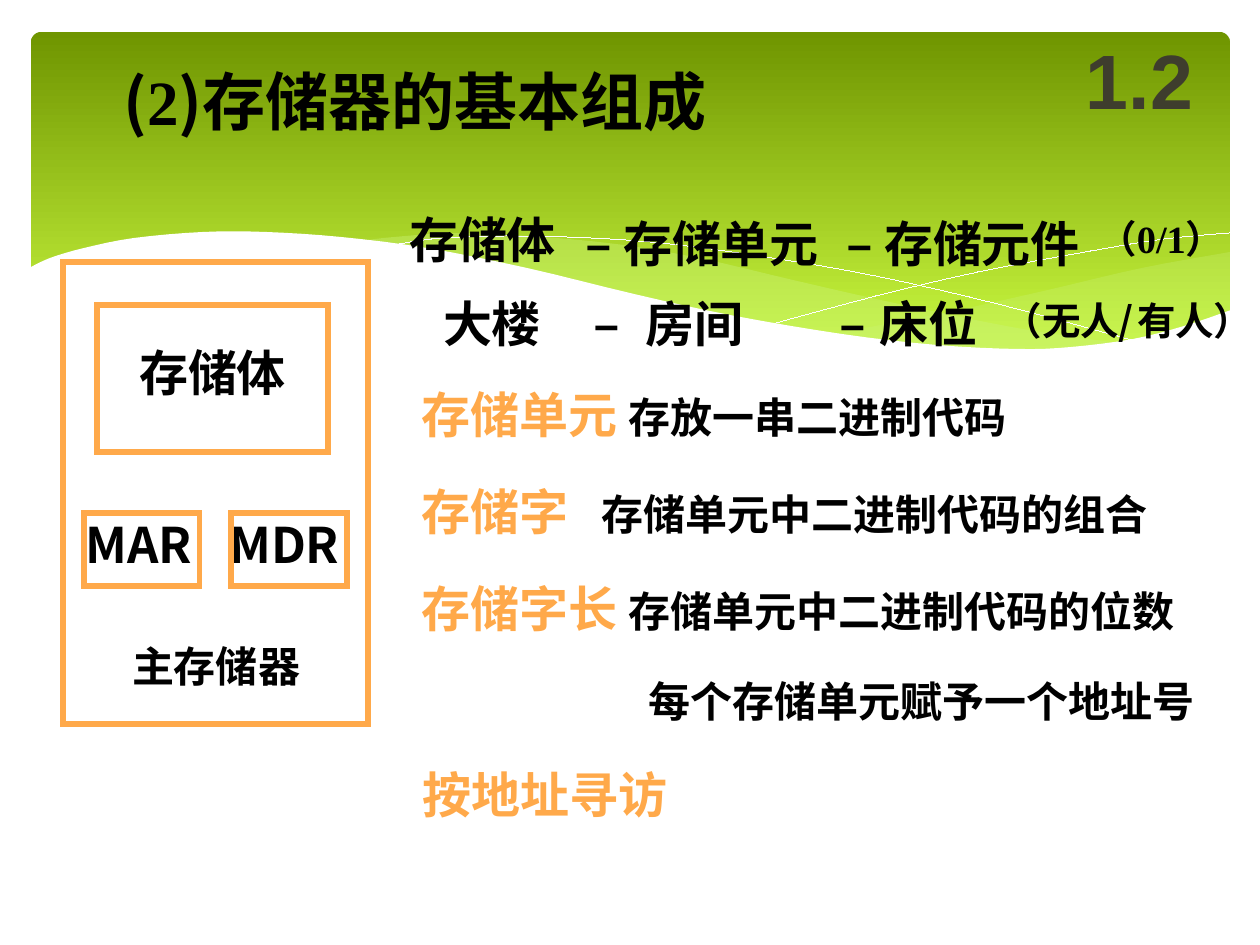
from lxml import etree
from pptx import Presentation
from pptx import util as u
from pptx.dml.color import RGBColor
from pptx.enum import shapes, text
from pptx.oxml.ns import qn

PX = 914400 / 126
BLACK = RGBColor(0, 0, 0)
WHITE = RGBColor(255, 255, 255)
ORANGE = RGBColor(0xFF, 0xA9, 0x4A)
GREY = RGBColor(0x3E, 0x3D, 0x2D)
PALE_GREEN = RGBColor(0xCA, 0xF2, 0x78)
DARK_GREEN = RGBColor(0x6F, 0x95, 0x00)
LIME = RGBColor(0xD0, 0xFF, 0x44)
SANS = "Noto Sans CJK SC"
SERIF = "Times New Roman"
CENTER = text.PP_ALIGN.CENTER
HAIRLINE = u.Emu(1)

LIGHT_WAVE = [(1230, 252), (1142, 268), (1048, 290), (949, 312), (833, 334)]
LIGHT_WAVE_BASE = [(833, 334), (905, 344), (969, 349), (1026, 350), (1087, 347),
                   (1140, 339), (1187, 326), (1230, 311)]
LONG_WAVE = [(1125, 344), (1017, 328), (890, 302), (793, 280), (699, 258),
             (616, 244), (529, 236), (455, 233), (394, 237), (360, 241)]
LONG_WAVE_BASE = [(360, 241), (431, 251), (509, 266), (566, 280), (668, 302),
                  (757, 321), (857, 338), (942, 348), (1017, 352), (1080, 349),
                  (1125, 344)]
FALLING_LINE = [(389, 246), (432, 239), (505, 236), (591, 238), (670, 244),
                (766, 257), (876, 276), (1002, 305), (1143, 343)]
RISING_LINE = [(772, 324), (876, 296), (978, 272), (1091, 251), (1164, 239),
               (1229, 233)]
WHITE_WAVE = [(1231, 310), (1184, 326), (1133, 339), (1071, 347), (1019, 349),
              (937, 345), (842, 334), (730, 315), (634, 294), (527, 268),
              (427, 248), (341, 237), (266, 232), (203, 232), (134, 238),
              (84, 248), (50, 258), (29, 268)]
WHITE_BASE = [(29, 415), (1231, 415)]


def px(value):
    return u.Emu(round(value * PX))


def smooth(knots, steps=4):
    padded = [knots[0], *knots, knots[-1]]
    points = [knots[0]]
    for a, b, c, d in zip(padded, padded[1:], padded[2:], padded[3:]):
        for step in range(1, steps + 1):
            t = step / steps
            points.append(tuple(
                (2 * q + (r - p) * t + (2 * p - 5 * q + 4 * r - s) * t ** 2
                 + (3 * q - p - 3 * r + s) * t ** 3) / 2
                for p, q, r, s in zip(a, b, c, d)))
    return points


def add_outline(parent, points, closed):
    emu_points = [(px(x), px(y)) for x, y in points]
    builder = parent.build_freeform(*emu_points[0], scale=1.0)
    builder.add_line_segments(emu_points[1:], close=closed)
    outline = builder.convert_to_shape()
    outline.shadow.inherit = False
    return outline


def add_wave(parent, points, color, opacity=100):
    wave = add_outline(parent, points, True)
    wave.line.fill.background()
    wave.fill.solid()
    wave.fill.fore_color.rgb = color
    if opacity < 100:
        fill_color = wave.fill._xPr.find(qn("a:solidFill"))[0]
        etree.SubElement(fill_color, qn("a:alpha"), val=str(opacity * 1000))


def add_curve(parent, knots):
    curve = add_outline(parent, smooth(knots), False)
    curve.fill.background()
    curve.line.color.rgb = WHITE
    curve.line.width = HAIRLINE


def add_frame(parent, *bounds):
    frame = parent.add_shape(shapes.MSO_SHAPE.RECTANGLE, *map(px, bounds))
    frame.shadow.inherit = False
    frame.fill.background()
    frame.line.color.rgb = ORANGE
    frame.line.width = u.Pt(3)
    outline = frame._element.spPr.find(qn("a:ln"))
    etree.SubElement(outline, qn("a:miter"), lim="800000")


def set_font(font, size, color=BLACK, face=SANS):
    font.size = u.Pt(size)
    font.bold = True
    font.color.rgb = color
    font.name = face
    latin = font._element.find(qn("a:latin"))
    latin.addnext(etree.Element(qn("a:ea"), typeface=SANS))


def add_text(parent, bounds, spans, align=None, wrap=False, tab=None, inset=True):
    box = parent.add_textbox(*map(px, bounds))
    frame = box.text_frame
    frame.word_wrap = wrap
    frame.auto_size = text.MSO_AUTO_SIZE.SHAPE_TO_FIT_TEXT
    if not inset:
        frame.margin_left = frame.margin_right = 0
        frame.margin_top = frame.margin_bottom = 0
    para = frame.paragraphs[0]
    para.alignment = align
    if tab:
        stops = etree.SubElement(para._p.get_or_add_pPr(), qn("a:tabLst"))
        etree.SubElement(stops, qn("a:tab"), pos=str(px(tab)), algn="l")
    for words, *style in spans:
        span = para.add_run()
        span.text = words
        if len(spans) > 1:
            set_font(span.font, *style)
    if len(spans) == 1:
        set_font(para.font, *spans[0][1:])
    return frame


def add_background(page):
    banner = page.shapes.add_shape(
        shapes.MSO_SHAPE.ROUNDED_RECTANGLE, *map(px, (31, 32, 1199, 340)))
    banner.adjustments[0] = 0.03
    banner.shadow.inherit = False
    banner.line.fill.background()
    banner.fill.gradient()
    banner.fill.gradient_angle = 270
    for stop, color, position in zip(banner.fill.gradient_stops,
                                     (DARK_GREEN, LIME), (0, 1)):
        stop.color.rgb = color
        stop.position = position

    waves = page.shapes.add_group_shape().shapes
    add_wave(waves, smooth(LIGHT_WAVE) + smooth(LIGHT_WAVE_BASE), PALE_GREEN, 29)
    add_wave(waves, smooth(LONG_WAVE) + smooth(LONG_WAVE_BASE), PALE_GREEN, 40)
    add_curve(waves, FALLING_LINE)
    add_curve(waves, RISING_LINE)
    add_wave(waves, smooth(WHITE_WAVE) + WHITE_BASE, WHITE)


def add_analogy(page):
    add_text(page.shapes, (391, 203, 183, 72), [("存储体", 28)], CENTER)
    add_text(page.shapes, (425, 287, 134, 72), [("大楼", 28)], CENTER)
    for left, words in ((573, " 存储单元"), (834, " 存储元件")):
        add_text(page.shapes, (left, 207, 268, 72),
                 [("–", 28, BLACK, SERIF), (words, 28)])
    add_text(page.shapes, (1067, 209, 189, 59),
             [("（", 22), ("0/1", 22, BLACK, SERIF), ("）", 22)], CENTER)
    for left, width, words, tab in ((581, 185, "房间", 52), (827, 234, "床位", 40)):
        add_text(page.shapes, (left, 287, width, 72),
                 [("–\t", 28, BLACK, SERIF), (words, 28)], wrap=True, tab=tab)
    add_text(page.shapes, (979, 291, 298, 59),
             [("（无人/", 22), (" ", 8), ("有人）", 22)], CENTER)


def add_definitions(page):
    definitions = [
        ("存储单元 ", "存放一串二进制代码", 798),
        ("存储字\t", "存储单元中二进制代码的组合", 961),
        ("存储字长 ", "存储单元中二进制代码的位数", 914),
    ]
    for row, (term, meaning, width) in enumerate(definitions):
        add_text(page.shapes, (409, 378 + 97 * row, width, 72),
                 [(term, 28, ORANGE), (meaning, 24)], wrap=True, tab=180)
    add_text(page.shapes, (636, 669, 667, 63),
             [("每个存储单元赋予一个地址号", 24)], wrap=True)
    add_text(page.shapes, (404, 758, 282, 72), [("按地址寻访", 28, ORANGE)], CENTER)


def add_memory_diagram(page):
    memory = page.shapes.add_group_shape().shapes
    add_frame(memory, 63, 262, 305, 462)
    add_text(memory, (126, 641, 180, 50), [("主存储器", 24)], CENTER, inset=False)
    add_text(memory, (121, 336, 183, 72), [("存储体", 28)], CENTER)
    add_frame(memory, 97, 305, 231, 147)
    for register, text_left, frame_left in (("MAR", 73, 84), ("MDR", 217, 231)):
        add_text(memory, (text_left, 508, 150, 72), [(register, 28)])
        add_frame(memory, frame_left, 513, 116, 73)


def main():
    deck = Presentation()
    deck.slide_width, deck.slide_height = px(1260), px(945)
    page = deck.slides.add_slide(deck.slide_layouts[6])
    add_background(page)
    add_analogy(page)
    add_definitions(page)
    add_text(page.shapes, (111, 56, 636, 88),
             [("(", 36), ("2", 36, BLACK, SERIF), (")存储器的基本组成", 36)])
    number = add_text(page.shapes, (1061, 21, 157, 116),
                      [("1.2", 44, GREY, "Arial")], CENTER, wrap=True)
    number.auto_size = text.MSO_AUTO_SIZE.NONE
    number.vertical_anchor = text.MSO_ANCHOR.MIDDLE
    add_memory_diagram(page)
    deck.save("out.pptx")


if __name__ == "__main__":
    main()
